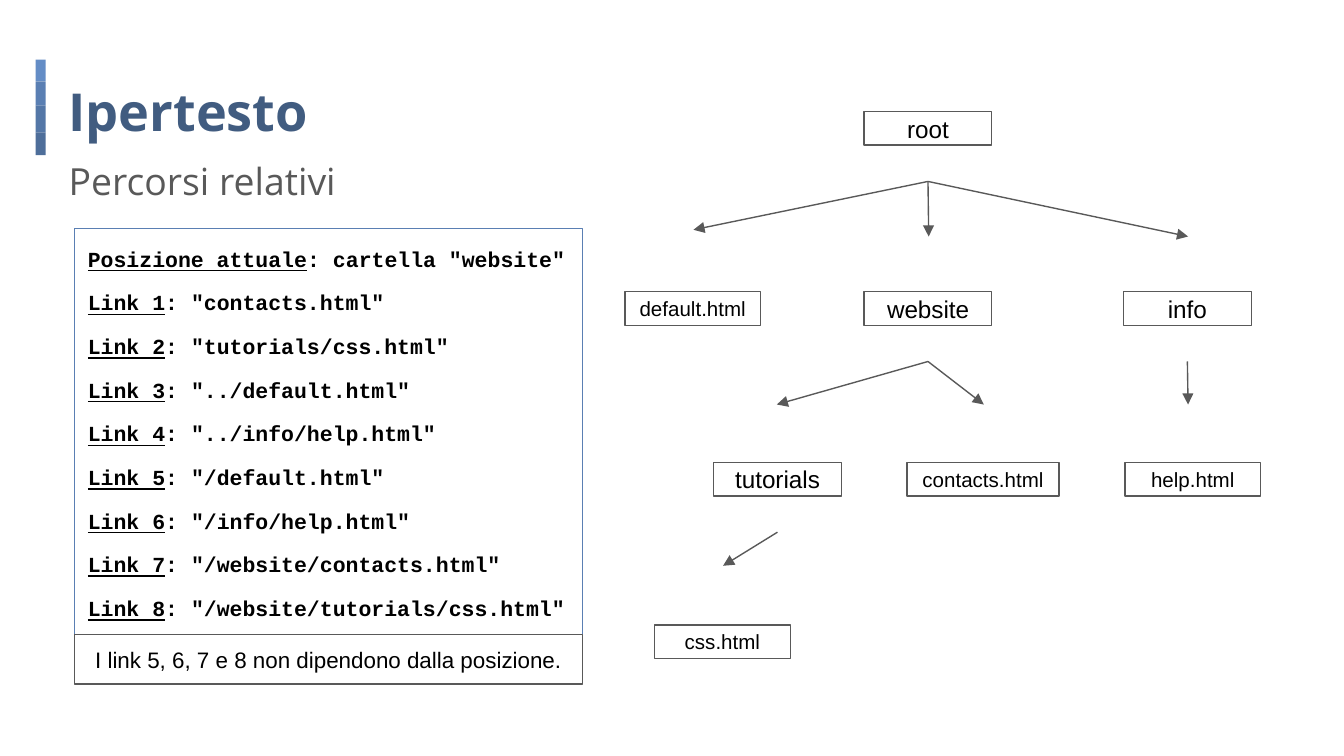
from dataclasses import dataclass

from lxml import etree
from pptx import Presentation
from pptx import util as u
from pptx.dml.color import RGBColor as Rgb
from pptx.enum import shapes, text
from pptx.oxml import ns


@dataclass(frozen=True)
class Theme:
    title: Rgb = Rgb.from_string("415C80")
    blue: Rgb = Rgb.from_string("5A7FB3")
    grey: Rgb = Rgb.from_string("595959")
    ink: Rgb = Rgb.from_string("000000")
    paper: Rgb = Rgb.from_string("FFFFFF")
    bars: tuple = ("648DC6", "5A7FB3", "5477A7", "4E6E9A")
    head: str = "Open Sans"
    body: str = "Arial"
    mono: str = "Courier New"
    big: float = 28
    sub: float = 20
    code: float = 11.5
    note: float = 12
    folder: float = 13
    file: float = 11
    rule: float = 0.75


T = Theme()
deck = Presentation()
deck.slide_width = u.Inches(10)
deck.slide_height = deck.slide_width * 9 // 16
slide = deck.slides.add_slide(deck.slide_layouts[0])
CELL = deck.slide_width // 100  # square grid, 100 columns wide


def box(x, y, w, h, fill, line=None):
    """Add a flat rectangle, measured in grid cells."""
    shape = slide.shapes.add_shape(
        shapes.MSO_SHAPE.RECTANGLE, *(round(n * CELL) for n in (x, y, w, h)))
    shape.shadow.inherit = False
    shape.fill.solid()
    shape.fill.fore_color.rgb = fill
    if line is None:
        shape.line.fill.background()
    else:
        shape.line.color.rgb = line
        shape.line.width = u.Pt(T.rule)
    return shape


def style(shape, font, size, color, bold=False, middle=False):
    """Set margins, anchor and type for all text of a shape."""
    frame = shape.text_frame
    frame.word_wrap = True
    frame.auto_size = text.MSO_AUTO_SIZE.NONE
    frame.margin_left = frame.margin_right = CELL
    frame.margin_top = frame.margin_bottom = CELL
    frame.vertical_anchor = text.MSO_ANCHOR.MIDDLE if middle else text.MSO_ANCHOR.TOP
    for para in frame.paragraphs:
        para.alignment = text.PP_ALIGN.CENTER if middle else text.PP_ALIGN.LEFT
        para.space_before = u.Pt(0)
        para.font.name, para.font.size = font, u.Pt(size)
        para.font.bold = bold
        para.font.color.rgb = color


# Accent bar: four stacked pieces
top = 4.45
for tint, tall in zip(T.bars, (1.6, 1.8, 2, 1.7)):
    box(2.65, top, 0.75, tall, Rgb.from_string(tint))
    top += tall

# Headings
title, sub = slide.shapes.title, slide.placeholders[1]
for shape, words, spot in (
    (title, "Ipertesto", (4.1, 4.9, 31.8, 6.3)),
    (sub, "Percorsi relativi", (4.1, 10.3, 26, 4.9)),
):
    shape.left, shape.top, shape.width, shape.height = (round(n * CELL) for n in spot)
    shape.text_frame.text = words
style(title, T.head, T.big, T.title, bold=True)
style(sub, T.head, T.sub, T.grey)
sub.text_frame.paragraphs[0].line_spacing = 1.15

# Link list
paths = ("contacts.html", "tutorials/css.html", "../default.html",
         "../info/help.html", "/default.html", "/info/help.html",
         "/website/contacts.html", "/website/tutorials/css.html")
rows = [("Posizione attuale", ': cartella "website"')]
rows += [(f"Link {n}", f': "{goal}"') for n, goal in enumerate(paths, 1)]
links = box(5.55, 17, 37.8, 30.2, T.paper, T.blue)
frame = links.text_frame
for n, (label, rest) in enumerate(rows):
    para = frame.add_paragraph() if n else frame.paragraphs[0]
    run = para.add_run()
    run.text = label
    run.font.underline = True
    para.add_run().text = rest
style(links, T.mono, T.code, T.ink, bold=True)
for n, para in enumerate(frame.paragraphs):
    para.line_spacing = 1.15
    para.space_before = u.Pt(7.5 if n else 0)

note = box(5.55, 47.2, 37.8, 3.7, T.paper, T.grey)
note.text_frame.text = "I link 5, 6, 7 e 8 non dipendono dalla posizione."
style(note, T.body, T.note, T.ink, middle=True)

# Folder tree: name, left, top, width, parent, arrow tip
TALL, GAP = 2.5, 2.7
nodes = (
    ("root", 64.3, 8.3, 9.5, None, None),
    ("default.html", 46.5, 21.7, 10.1, "root", (51.6, 17.1)),
    ("website", 64.3, 21.7, 9.5, "root", (69.1, 17.6)),
    ("info", 83.6, 21.7, 9.5, "root", (88.4, 17.6)),
    ("tutorials", 53.1, 34.4, 9.5, "website", (57.8, 30.1)),
    ("contacts.html", 67.5, 34.4, 11.3, "website", (73.2, 30.1)),
    ("help.html", 83.7, 34.4, 10.1, "info", (88.4, 30.1)),
    ("css.html", 48.7, 46.5, 10.1, "tutorials", (53.8, 42.1)),
)
tails = {}
for name, x, y, w, parent, tip in nodes:
    node = box(x, y, w, TALL, T.paper, T.grey)
    node.text_frame.text = name
    size = T.file if name.endswith(".html") else T.folder
    style(node, T.body, size, T.ink, middle=True)
    tails[name] = (x + w / 2, y + TALL + GAP)
    if parent:
        ends = (round(n * CELL) for n in tails[parent] + tip)
        arrow = slide.shapes.add_connector(shapes.MSO_CONNECTOR.STRAIGHT, *ends)
        arrow.line.color.rgb = T.grey
        arrow.line.width = u.Pt(T.rule)
        props = arrow.element.spPr
        etree.SubElement(props.get_or_add_ln(), ns.qn("a:tailEnd"), type="triangle")
        etree.SubElement(props, ns.qn("a:effectLst"))

deck.save("out.pptx")
